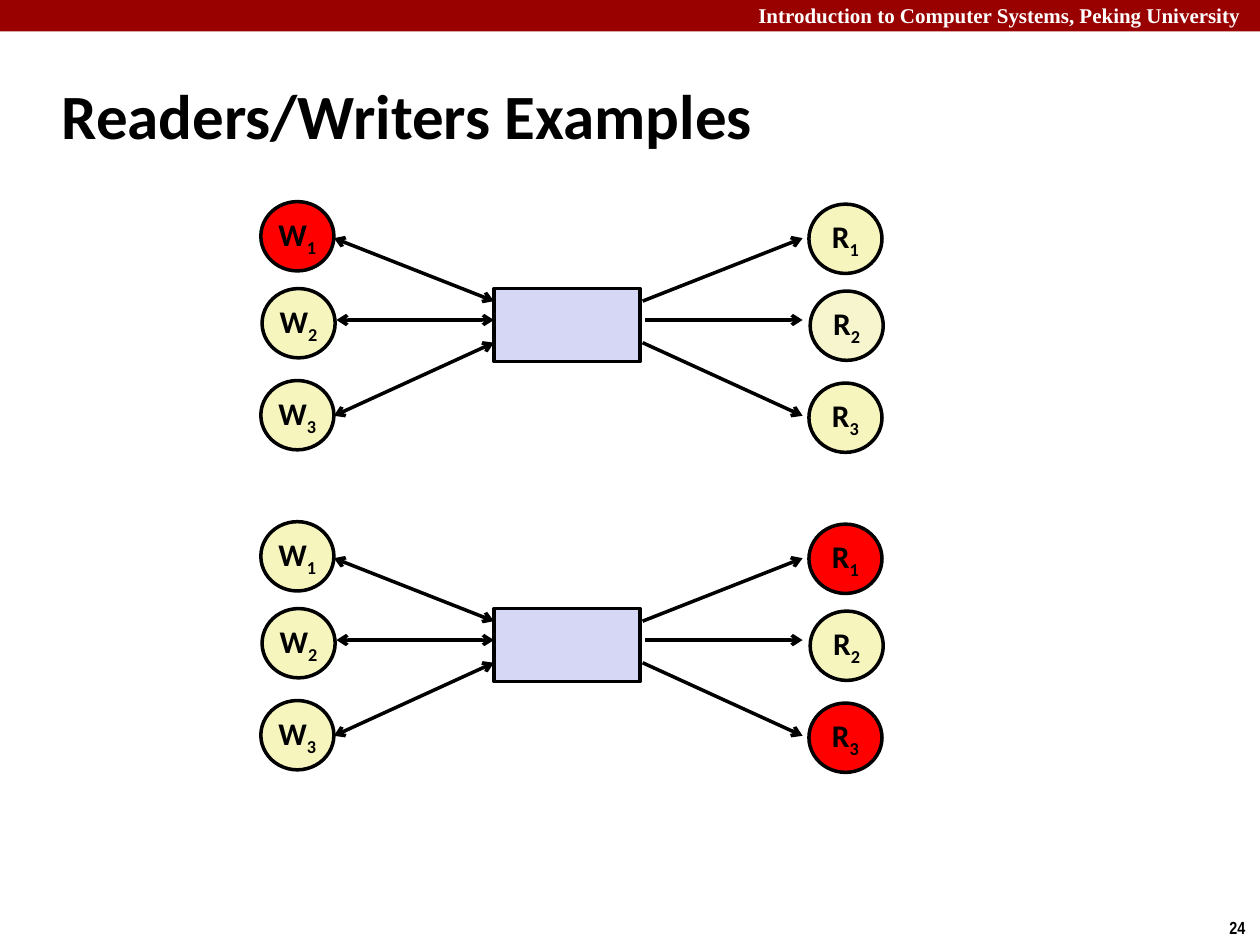
"""Build the readers/writers examples slide."""
import pptx
import pptx.dml.color
import pptx.enum.shapes
import pptx.enum.text
import pptx.oxml.ns
import pptx.util
from lxml import etree
from pptx.util import Inches

COLORS = {
    "banner": "990000",
    "white": "FFFFFF",
    "black": "000000",
    "buffer": "D6D6F5",
    "idle": "F6F5BD",
    "pale": "F7F5CD",
    "active": "FF0000",
}
SHAPES = pptx.enum.shapes.MSO_SHAPE
ANCHORS = pptx.enum.text.MSO_ANCHOR
qn = pptx.oxml.ns.qn


def write_text(shape, text, *, size, font="Calibri", color="black", subscript="",
               wrap=False, anchor=ANCHORS.TOP, align=pptx.enum.text.PP_ALIGN.LEFT):
    frame = shape.text_frame
    frame.word_wrap = wrap
    frame.vertical_anchor = anchor
    para = frame.paragraphs[0]
    para.alignment = align
    para.font.size = pptx.util.Pt(size)
    para.font.bold = True
    for part in filter(None, (text, subscript)):
        span = para.add_run()
        span.text = part
        span.font.name = font
        span.font.size = pptx.util.Pt(size)
        span.font.bold = True
        span.font.color.rgb = pptx.dml.color.RGBColor.from_string(COLORS[color])
    if subscript:
        span.font._element.set("baseline", "-25000")


def add_figure(kind, left, top, width, height, fill, outlined=True):
    shape = page.shapes.add_shape(kind, Inches(left), Inches(top), Inches(width), Inches(height))
    shape.shadow.inherit = False
    shape.fill.solid()
    shape.fill.fore_color.rgb = pptx.dml.color.RGBColor.from_string(COLORS[fill])
    if outlined:
        shape.line.color.rgb = pptx.dml.color.RGBColor.from_string(COLORS["black"])
        shape.line.width = pptx.util.Pt(2)
    else:
        shape.line.fill.background()
    return shape


deck = pptx.Presentation()
deck.slide_width = Inches(10)
deck.slide_height = Inches(7.5)
page = deck.slides.add_slide(deck.slide_layouts[6])

add_figure(SHAPES.RECTANGLE, 0, 0, 10, 0.25, "banner", outlined=False)
course = page.shapes.add_textbox(Inches(5.92), Inches(-0.03), Inches(4.15), Inches(0.3))
write_text(course, "Introduction to Computer Systems, Peking University",
           size=12, font="Times New Roman", color="white", wrap=True)
number = page.shapes.add_textbox(Inches(9.66), Inches(7.23), Inches(0.34), Inches(0.27))
write_text(number, "24", size=10, font="Arial Narrow")
title = page.shapes.add_textbox(Inches(0.39), Inches(0.49), Inches(8.3), Inches(0.83))
write_text(title, "Readers/Writers Examples", size=36, wrap=True, anchor=ANCHORS.MIDDLE)

examples = [
    (1.6, {"W": ("active", "idle", "idle"), "R": ("idle", "pale", "idle")}),
    (4.14, {"W": ("idle", "idle", "idle"), "R": ("active", "idle", "active")}),
]
sides = {
    "W": (2.07, 0, (2.65, 2.67, 2.65), (3.92, 3.92, 3.92), ("headEnd", "tailEnd")),
    "R": (6.42, 0.02, (6.37, 6.37, 6.37), (5.1, 5.12, 5.1), ("headEnd",)),
}
circle_rows = (0, 0.69, 1.42)
outer_rows = (0.29, 0.94, 1.7)
inner_rows = (0.79, 0.94, 1.12)

for top, states in examples:
    add_figure(SHAPES.RECTANGLE, 3.92, top + 0.69, 1.16, 0.58, "buffer")
    for letter, (left, drop, outer, inner, arrowheads) in sides.items():
        for row, state in enumerate(states[letter]):
            arrow = page.shapes.add_connector(
                pptx.enum.shapes.MSO_CONNECTOR.STRAIGHT,
                Inches(outer[row]), Inches(top + outer_rows[row]),
                Inches(inner[row]), Inches(top + inner_rows[row]))
            arrow.line.color.rgb = pptx.dml.color.RGBColor.from_string(COLORS["black"])
            arrow.line.width = pptx.util.Pt(2)
            for arrowhead in arrowheads:
                etree.SubElement(arrow.line._get_or_add_ln(), qn(f"a:{arrowhead}"), type="arrow")
            etree.SubElement(arrow._element.spPr, qn("a:effectLst"))

            shift = 0.01 if row == 1 else 0
            circle = add_figure(SHAPES.OVAL, left + shift, top + drop + circle_rows[row],
                                0.58, 0.55, state)
            circle.text_frame.margin_top = circle.text_frame.margin_bottom = 0
            write_text(circle, letter, subscript=str(row + 1), size=18,
                       anchor=ANCHORS.MIDDLE, align=pptx.enum.text.PP_ALIGN.CENTER)

deck.save("out.pptx")
